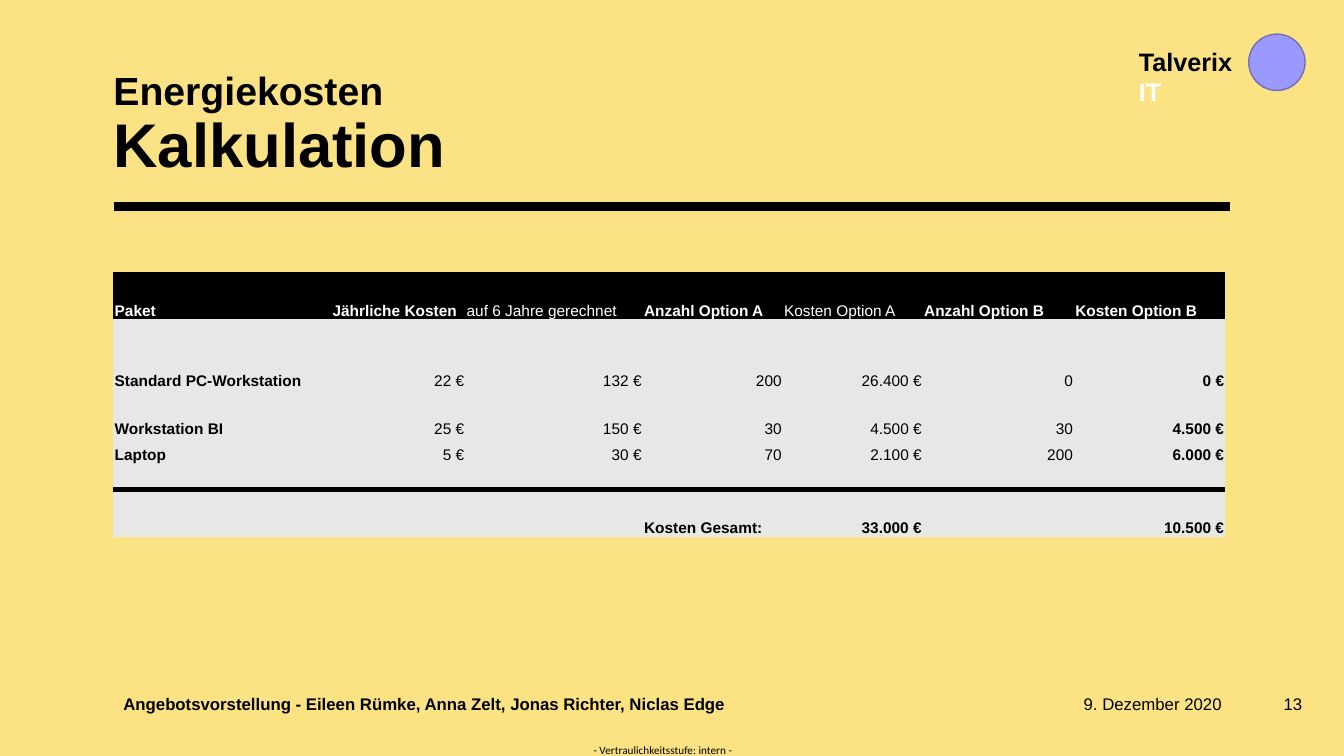
from dataclasses import dataclass

from lxml.etree import SubElement
from pptx import Presentation
from pptx.dml.color import RGBColor
from pptx.enum.shapes import MSO_CONNECTOR, MSO_SHAPE
from pptx.enum.text import MSO_ANCHOR, MSO_AUTO_SIZE, PP_ALIGN
from pptx.oxml import parse_xml
from pptx.oxml.ns import nsdecls, qn
from pptx.shapes.autoshape import Shape
from pptx.slide import Slide
from pptx.table import _Cell
from pptx.util import Cm, Pt

BLACK = RGBColor(0x00, 0x00, 0x00)
WHITE = RGBColor(0xFF, 0xFF, 0xFF)
YELLOW = RGBColor(0xFB, 0xE3, 0x84)
PANEL = RGBColor(0xFB, 0xE2, 0x84)
GREY = RGBColor(0xE7, 0xE7, 0xE7)
LILAC = RGBColor(0x99, 0x99, 0xFF)
VIOLET = RGBColor(0x70, 0x6F, 0xBB)

COL_WIDTHS = (5.49, 3.38, 4.47, 3.53, 3.53, 3.81, 3.81)
ROW_HEIGHTS = (1.19, 1.78, 1.19, 0.66, 0.66, 1.19)
COSTS = (
    ("Paket", "Jährliche Kosten", "auf 6 Jahre gerechnet", "Anzahl Option A",
     "Kosten Option A", "Anzahl Option B", "Kosten Option B"),
    ("Standard PC-Workstation", "22 €", "132 €", "200", "26.400 €", "0", "0 €"),
    ("Workstation BI", "25 €", "150 €", "30", "4.500 €", "30", "4.500 €"),
    ("Laptop", "5 €", "30 €", "70", "2.100 €", "200", "6.000 €"),
    ("",) * 7,
    ("", "", "", "Kosten Gesamt:", "33.000 €", "", "10.500 €"),
)
HEADER, TOTAL = 0, len(COSTS) - 1
LIGHT_HEADERS = (2, 4)
BOLD_COLUMNS = (0, 6)


@dataclass(frozen=True)
class Label:
    """A single-style text box, with its box and insets in centimetres."""

    text: str
    left: float
    top: float
    width: float
    height: float
    size: int = 12
    bold: bool = False
    font: str = "Arial"
    align: PP_ALIGN = PP_ALIGN.LEFT
    anchor: MSO_ANCHOR = MSO_ANCHOR.MIDDLE
    inset_x: float = 0.25
    inset_y: float = 0.13


LABELS = (
    Label("- Vertraulichkeitsstufe: intern - ", 14.91, 18.72, 3.66, 0.33, size=8,
          font="Calibri", align=PP_ALIGN.CENTER, anchor=MSO_ANCHOR.TOP,
          inset_x=0, inset_y=0),
    Label("9. Dezember 2020", 27.31, 17.48, 4.24, 0.51, inset_x=0),
    Label("Angebotsvorstellung - Eileen Rümke, Anna Zelt, Jonas Richter, Niclas Edge",
          2.86, 17.48, 24.26, 0.51, bold=True),
    Label("13", 31.93, 17.48, 1.14, 0.51, align=PP_ALIGN.RIGHT),
    Label("Talverix\vIT", 28.45, 1.04, 3.99, 1.02, size=18, bold=True,
          anchor=MSO_ANCHOR.TOP),
)


def add_label(slide: Slide, label: Label) -> Shape:
    """Add a text box for the label."""
    sp = slide.shapes.add_textbox(Cm(label.left), Cm(label.top),
                                  Cm(label.width), Cm(label.height))
    tf = sp.text_frame
    tf.word_wrap = True
    tf.vertical_anchor = label.anchor
    tf.margin_left = tf.margin_right = Cm(label.inset_x)
    tf.margin_top = tf.margin_bottom = Cm(label.inset_y)
    p = tf.paragraphs[0]
    p.text = label.text
    p.alignment = label.align
    for r in p.runs:
        r.font.name, r.font.size, r.font.bold = label.font, Pt(label.size), label.bold
        r.font.color.rgb = BLACK
    return sp


def add_title(slide: Slide) -> None:
    """Format the title placeholder and bring it to the front."""
    sp = slide.shapes.title
    sp.left, sp.top, sp.width, sp.height = Cm(2.86), Cm(2.75), Cm(28.04), Cm(1.8)
    tf = sp.text_frame
    tf.text = "Energiekosten \vKalkulation"
    tf.auto_size = MSO_AUTO_SIZE.NONE
    tf.vertical_anchor = MSO_ANCHOR.BOTTOM
    tf.margin_left = tf.margin_right = tf.margin_top = tf.margin_bottom = 0
    p = tf.paragraphs[0]
    p.alignment = PP_ALIGN.LEFT
    p.line_spacing = 0.9
    for r, size in zip(p.runs, (28, 44)):
        r.font.name, r.font.size, r.font.bold = "Arial", Pt(size), True
        r.font.color.rgb = BLACK
    SubElement(p._p.find(qn("a:br")), qn("a:rPr"), sz="4400")
    slide.shapes._spTree.append(sp._element)


def add_plain_shape(slide: Slide, kind: MSO_SHAPE, left: float, top: float,
                    width: float, height: float, fill: RGBColor) -> Shape:
    """Add a filled shape without line or shadow."""
    sp = slide.shapes.add_shape(kind, Cm(left), Cm(top), Cm(width), Cm(height))
    sp.shadow.inherit = False
    sp.fill.solid()
    sp.fill.fore_color.rgb = fill
    sp.line.fill.background()
    return sp


def add_title_rule(slide: Slide) -> None:
    """Add the thick line under the title."""
    line = slide.shapes.add_connector(MSO_CONNECTOR.STRAIGHT, Cm(2.87), Cm(5.2),
                                      Cm(30.99), Cm(5.2))
    line.line.color.rgb = BLACK
    line.line.width = Pt(6)
    SubElement(line._element.spPr, qn("a:effectLst"))


def format_cell(cell: _Cell, row: int, col: int) -> None:
    """Fill one cost cell with its text and style."""
    cell.fill.solid()
    cell.fill.fore_color.rgb = BLACK if row == HEADER else GREY
    cell.vertical_anchor = MSO_ANCHOR.BOTTOM
    cell.margin_left = cell.margin_right = cell.margin_top = Cm(0.03)
    cell.margin_bottom = 0
    text = COSTS[row][col]
    p = cell.text_frame.paragraphs[0]
    p.text = text
    p._p.get_or_add_endParaRPr().set("sz", "1100")
    is_label = row == HEADER or col == 0 or text.endswith(":")
    p.alignment = PP_ALIGN.LEFT if is_label else PP_ALIGN.RIGHT
    if row == HEADER:
        bold = col not in LIGHT_HEADERS
    else:
        bold = row == TOTAL or col in BOLD_COLUMNS
    for r in p.runs:
        r.font.name, r.font.size, r.font.bold = "Arial", Pt(11), bold
        r.font.color.rgb = WHITE if row == HEADER else BLACK
    if row == TOTAL:
        cell._tc.get_or_add_tcPr().insert(0, parse_xml(
            f'<a:lnT {nsdecls("a")} w="{Pt(4)}"><a:solidFill>'
            f'<a:srgbClr val="{BLACK}"/></a:solidFill></a:lnT>'))


def add_cost_table(slide: Slide) -> None:
    """Add the energy cost table."""
    table = slide.shapes.add_table(len(ROW_HEIGHTS), len(COL_WIDTHS), Cm(2.86), Cm(6.86),
                                   Cm(sum(COL_WIDTHS)), Cm(sum(ROW_HEIGHTS))).table
    table.first_row = table.horz_banding = False
    style = table._tbl.tblPr.find(qn("a:tableStyleId"))
    style.text = "{2D5ABB26-0587-4C30-8999-92F81FD0307C}"
    for column, width in zip(table.columns, COL_WIDTHS):
        column.width = Cm(width)
    for row, height in enumerate(ROW_HEIGHTS):
        table.rows[row].height = Cm(height)
        for col in range(len(COL_WIDTHS)):
            format_cell(table.cell(row, col), row, col)


def main() -> None:
    """Build and save the slide."""
    prs = Presentation()
    prs.slide_width, prs.slide_height = Cm(33.87), Cm(19.05)
    slide = prs.slides.add_slide(prs.slide_layouts[5])
    slide.background.fill.solid()
    slide.background.fill.fore_color.rgb = YELLOW
    add_plain_shape(slide, MSO_SHAPE.RECTANGLE, 0, 0, 30.99, 16.18, PANEL)
    add_title_rule(slide)
    add_title(slide)
    circle = add_plain_shape(slide, MSO_SHAPE.OVAL, 31.47, 0.86, 1.42, 1.42, LILAC)
    circle.line.color.rgb = VIOLET
    circle.line.width = Pt(1)
    *_, brand = [add_label(slide, label) for label in LABELS]
    brand.text_frame.paragraphs[0].runs[-1].font.color.rgb = WHITE
    add_cost_table(slide)
    prs.save("out.pptx")


main()
